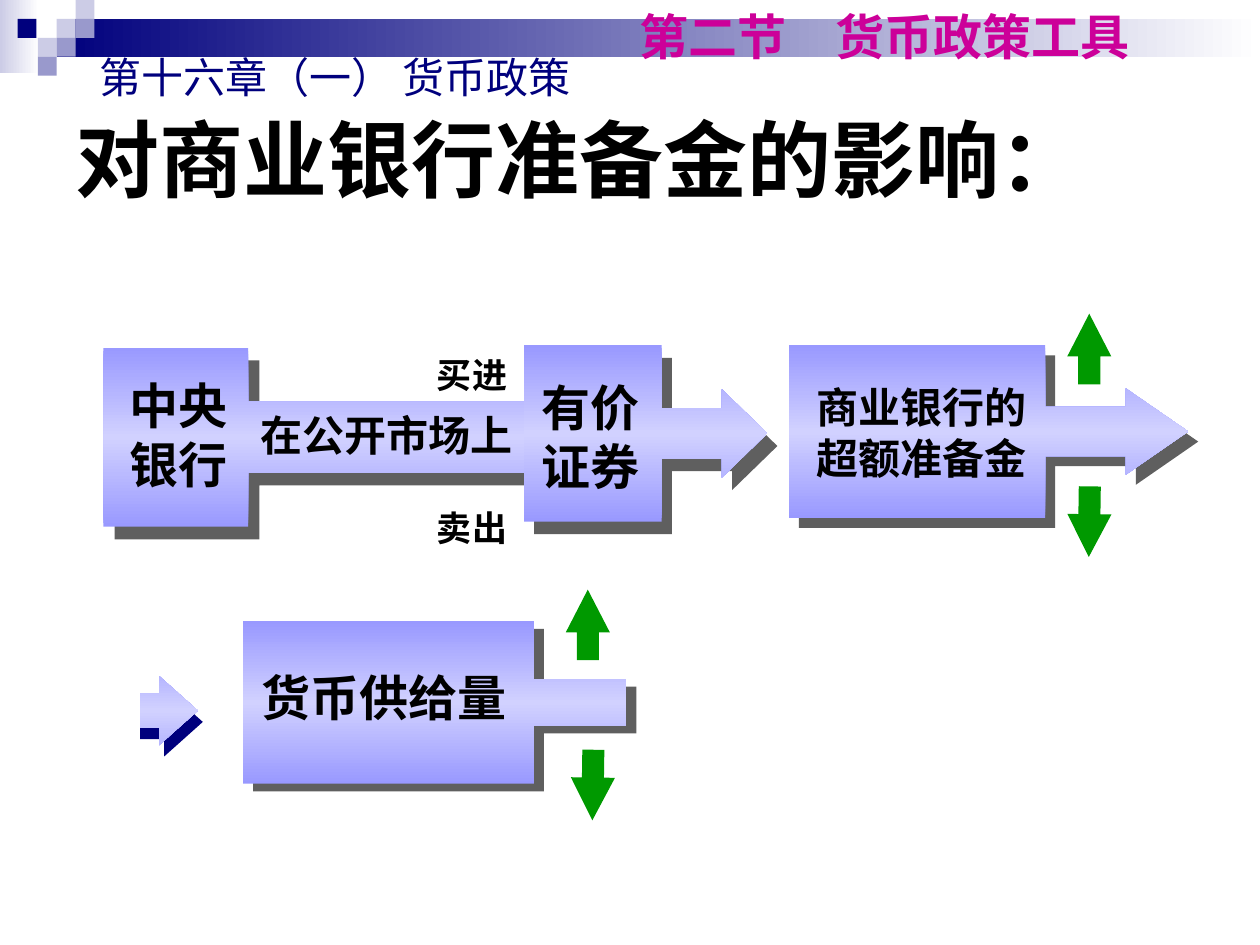
"""Build a slide on how open-market operations affect commercial bank reserves."""
from copy import deepcopy

from lxml import etree
from pptx import Presentation
from pptx.dml.color import RGBColor
from pptx.enum.shapes import MSO_SHAPE
from pptx.enum.text import MSO_ANCHOR, PP_ALIGN
from pptx.oxml.ns import qn
from pptx.util import Inches, Pt

RECT = MSO_SHAPE.RECTANGLE
CALLOUT = MSO_SHAPE.RIGHT_ARROW_CALLOUT
UP_ARROW = MSO_SHAPE.UP_ARROW
LEFT, CENTER = PP_ALIGN.LEFT, PP_ALIGN.CENTER
TOP, MIDDLE = MSO_ANCHOR.TOP, MSO_ANCHOR.MIDDLE
CJK = "Noto Sans CJK SC"

COLORS = {
    "navy": "00007D", "pale": "CCCCE6", "lilac": "9999CC", "white": "FFFFFF",
    "edge": "9999FF", "glow": "D1D1FF", "shade": "5F5F5F", "green": "009900",
    "magenta": "CC0099", "black": "000000",
}
SHEEN = ("edge", "glow", "edge")

TILE = 0.15
BANNER = [
    ((0, 0, 0.31, 0.58), ("pale", "white")),
    ((3 * TILE, TILE, 10 - 3 * TILE, 2 * TILE), ("navy", "white")),
]
MOSAIC = [
    (3, 1, "pale"), (4, 0, "pale"), (4, 1, "lilac"), (2, 2, "pale"),
    (0.93, 1, "navy"), (3, 2, "lilac"), (2, 3, "lilac"),
]

# box, shadow offset, shadow colour, (shaft, half head, head length, body share)
STEPS = {
    "central bank": ((0.82, 2.76, 3.35, 1.42), (0.09, 0.1), "shade", (0.399, 0.2, 0, 0.343)),
    "securities": ((4.16, 2.74, 1.93, 1.4), (0.08, 0.1), "shade", (0.286, 0.25, 0.257, 0.566)),
    "reserves": ((6.26, 2.74, 3.17, 1.37), (0.08, 0.08), "shade", (0.285, 0.25, 0.361, 0.642)),
    "continuation": ((0.97, 5.09, 0.6, 1.1), (0.04, 0.09), "navy", (0.454, 0.457, 0.51, 0.062)),
    "money supply": ((1.93, 4.93, 3.04, 1.29), (0.08, 0.06), "shade", (0.286, 0.143, 0, 0.759)),
}
CONTINUATION_MASK = (0.84, 5.01, 0.27, 1.31)

TREND_SIZE = (0.35, 0.56)
TRENDS = [(8.47, 2.49, 0), (8.47, 3.86, 180.8), (4.49, 4.68, 0), (4.53, 5.95, 180.8)]

# lines, box, size, font, colour, bold, alignment, anchor
TEXTS = [
    (["对商业银行准备金的影响："], (0.5, 0.5, 9, 1.5), 48, "Arial", "black", True, LEFT, MIDDLE),
    (["中央银行"], (0.89, 2.93, 1.05, 1.04), 28, CJK, "black", True, CENTER, TOP),
    (["在公开市场上"], (1.87, 3.2, 2.4, 0.5), 24, CJK, "black", True, CENTER, TOP),
    (["有价证券"], (4.16, 2.95, 1.05, 1.04), 28, CJK, "black", True, CENTER, TOP),
    (["商业银行的", "超额准备金"], (6.3, 2.98, 2.02, 0.9), 24, CJK, "black", True, CENTER, TOP),
    (["货币供给量"], (1.88, 5.25, 2.34, 0.57), 28, CJK, "black", True, CENTER, TOP),
    (["第十六章（一） 货币政策"], (0.69, 0.36, 4.3, 0.5), 24, "Arial", "navy", False, LEFT, TOP),
    (["第二节　货币政策工具"], (4.98, 0, 4.4, 0.57), 28, "Arial", "magenta", True, LEFT, TOP),
]
TRADES = (["买进", "卖出"], (3.37, 2.14, 0.84, 2.21), 20, CJK, "black", True, LEFT, TOP)


def rgb(name):
    return RGBColor.from_string(COLORS[name])


def add_block(slide, kind, box, paint, angle=0, adjustments=()):
    block = slide.shapes.add_shape(kind, *map(Inches, box))
    block.shadow.inherit = False
    block.line.fill.background()
    for index, value in enumerate(adjustments):
        block.adjustments[index] = value
    if isinstance(paint, str):
        block.fill.solid()
        block.fill.fore_color.rgb = rgb(paint)
        return block
    block.fill.gradient()
    block.fill.gradient_angle = angle
    stop_list = block.fill._fill._gradFill.gsLst
    while len(stop_list) < len(paint):
        stop_list.append(deepcopy(stop_list[-1]))
    for index, (stop, name) in enumerate(zip(block.fill.gradient_stops, paint)):
        stop.position = index / (len(paint) - 1)
        stop.color.rgb = rgb(name)
    return block


def add_words(slide, lines, box, size, font, color, bold, align, anchor):
    frame = slide.shapes.add_textbox(*map(Inches, box)).text_frame
    frame.word_wrap = True
    frame.vertical_anchor = anchor
    frame.text = "\n".join(lines)
    for paragraph in frame.paragraphs:
        paragraph.alignment = align
        paragraph.font.size = Pt(size)
        paragraph.font.bold = bold
        paragraph.font.color.rgb = rgb(color)
        paragraph.font.name = font
        etree.SubElement(paragraph.font._element, qn("a:ea"), typeface=CJK)
    return frame


def main():
    deck = Presentation()
    deck.slide_width, deck.slide_height = Inches(10), Inches(7.5)
    slide = deck.slides.add_slide(deck.slide_layouts[6])

    for box, paint in BANNER:
        add_block(slide, RECT, box, paint)
    for column, row, color in MOSAIC:
        add_block(slide, RECT, (column * TILE, row * TILE, TILE, TILE), color)

    for step, (box, (dx, dy), shadow, proportions) in STEPS.items():
        left, top, width, height = box
        add_block(slide, CALLOUT, (left + dx, top + dy, width, height), shadow,
                  adjustments=proportions)
        add_block(slide, CALLOUT, box, SHEEN, 90, proportions)
        if step == "continuation":
            add_block(slide, RECT, CONTINUATION_MASK, "white")

    for left, top, rotation in TRENDS:
        trend = add_block(slide, UP_ARROW, (left, top, *TREND_SIZE), "green",
                          adjustments=(0.5, 0.97))
        trend.rotation = rotation

    for text in TEXTS:
        add_words(slide, *text)
    trades = add_words(slide, *TRADES)
    trades.margin_top = trades.margin_bottom = 0
    for paragraph in trades.paragraphs:
        paragraph.line_spacing = 3.0
    trades.paragraphs[1].space_before = Pt(15)

    deck.save("out.pptx")


if __name__ == "__main__":
    main()
